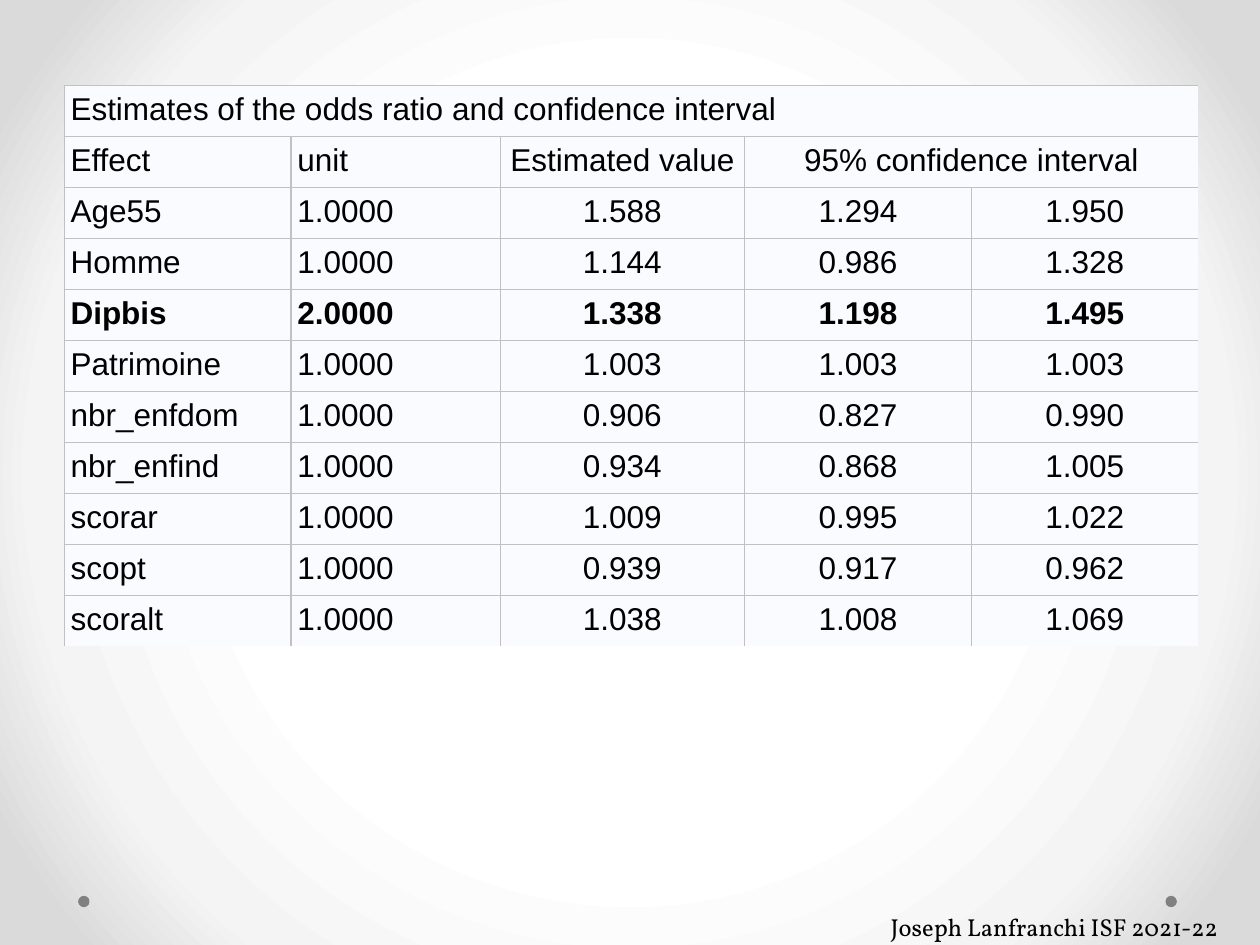
from dataclasses import dataclass

from lxml import etree
from pptx import Presentation
from pptx.dml.color import RGBColor
from pptx.enum.shapes import MSO_SHAPE
from pptx.enum.text import PP_ALIGN
from pptx.oxml import parse_xml
from pptx.oxml.ns import nsdecls, qn
from pptx.util import Inches, Pt

OVAL = MSO_SHAPE.OVAL
LEFT, CENTER = PP_ALIGN.LEFT, PP_ALIGN.CENTER
PLAIN_STYLE = "{2D5ABB26-0587-4C30-8999-92F81FD0307C}"
BLACK, DOT, CELL, BORDER = "000000", "808080", "FAFBFE", "C1C1C1"
STOPS = [(50, "FFFFFF"), (76, "F4F4F4"), (92, "DADADA")]
COL_WIDTHS = [1.8, 1.66, 1.94, 1.8, 1.8]
TABLE_HEIGHT = 4.45


@dataclass
class Row:
    cells: list[str]
    bold: bool = False


ROWS = [
    Row(["Estimates of the odds ratio and confidence interval"]),
    Row(["Effect", "unit", "Estimated value", "95% confidence interval"]),
    Row(["Age55", "1.0000", "1.588", "1.294", "1.950"]),
    Row(["Homme", "1.0000", "1.144", "0.986", "1.328"]),
    Row(["Dipbis", "2.0000", "1.338", "1.198", "1.495"], bold=True),
    Row(["Patrimoine", "1.0000", "1.003", "1.003", "1.003"]),
    Row(["nbr_enfdom", "1.0000", "0.906", "0.827", "0.990"]),
    Row(["nbr_enfind", "1.0000", "0.934", "0.868", "1.005"]),
    Row(["scorar", "1.0000", "1.009", "0.995", "1.022"]),
    Row(["scopt", "1.0000", "0.939", "0.917", "0.962"]),
    Row(["scoralt", "1.0000", "1.038", "1.008", "1.069"]),
]


def rgb(color: str) -> RGBColor:
    return RGBColor.from_string(color)


def set_font(p, name: str, size: float, bold: bool = False) -> None:
    p.font.name = name
    p.font.size = Pt(size)
    p.font.bold = bold
    p.font.color.rgb = rgb(BLACK)


def set_background(s) -> None:
    stops = "".join(
        f'<a:gs pos="{pos * 1000}"><a:srgbClr val="{color}"/></a:gs>'
        for pos, color in STOPS
    )
    s.element.cSld.insert(0, parse_xml(
        f'<p:bg {nsdecls("p", "a")}><p:bgPr><a:gradFill rotWithShape="1">'
        f'<a:gsLst>{stops}</a:gsLst><a:path path="circle">'
        '<a:fillToRect l="50000" t="50000" r="50000" b="50000"/></a:path>'
        '</a:gradFill><a:effectLst/></p:bgPr></p:bg>'
    ))


def add_dot(s, x: float) -> None:
    sp = s.shapes.add_shape(OVAL, Inches(x), Inches(7.11), Inches(0.09), Inches(0.09))
    sp.shadow.inherit = False
    sp.fill.solid()
    sp.fill.fore_color.rgb = rgb(DOT)
    sp.line.fill.background()


def add_borders(cell, sides: str) -> None:
    tc_pr = cell._tc.get_or_add_tcPr()
    for side in sides:
        ln = etree.SubElement(tc_pr, qn(f"a:ln{side}"), w=str(Pt(0.75)))
        fill = etree.SubElement(ln, qn("a:solidFill"))
        etree.SubElement(fill, qn("a:srgbClr"), val=BORDER)


def fill_cell(cell, text: str, align, bold: bool, sides: str) -> None:
    cell.margin_left = cell.margin_right = Inches(0.05)
    cell.margin_top = cell.margin_bottom = Inches(0.05)
    add_borders(cell, sides)
    cell.fill.solid()
    cell.fill.fore_color.rgb = rgb(CELL)
    cell.text = text
    p = cell.text_frame.paragraphs[0]
    p.alignment = align
    set_font(p, "Arial", 18, bold)


def add_estimates(s) -> None:
    n_rows, n_cols = len(ROWS), len(COL_WIDTHS)
    frame = s.shapes.add_table(n_rows, n_cols, Inches(0.51), Inches(0.68),
                               Inches(sum(COL_WIDTHS)), Inches(TABLE_HEIGHT))
    table = frame.table
    table.first_row = table.horz_banding = False
    table._tbl.tblPr.find(qn("a:tableStyleId")).text = PLAIN_STYLE
    for col, width in zip(table.columns, COL_WIDTHS):
        col.width = Inches(width)
    for r, row in enumerate(ROWS):
        table.rows[r].height = Inches(TABLE_HEIGHT / n_rows)
        last = len(row.cells) - 1
        if last < n_cols - 1:
            table.cell(r, last).merge(table.cell(r, n_cols - 1))
        for c, text in enumerate(row.cells):
            sides = "L" + ("R" if c < last else "") + "T" + ("B" if r < n_rows - 1 else "")
            align = LEFT if c < 2 else CENTER
            fill_cell(table.cell(r, c), text, align, row.bold, sides)


def add_credit(s) -> None:
    sp = s.shapes.add_textbox(Inches(6.97), Inches(7.19), Inches(3.07), Inches(0.34))
    tf = sp.text_frame
    tf.word_wrap = True
    tf.text = "Joseph Lanfranchi ISF 2021-22"
    set_font(tf.paragraphs[0], "Vollkorn", 14)


def main() -> None:
    prs = Presentation()
    prs.slide_width, prs.slide_height = Inches(10), Inches(7.5)
    s = prs.slides.add_slide(prs.slide_layouts[6])
    set_background(s)
    for x in (9.25, 0.62):
        add_dot(s, x)
    add_estimates(s)
    add_credit(s)
    prs.save("out.pptx")


if __name__ == "__main__":
    main()
